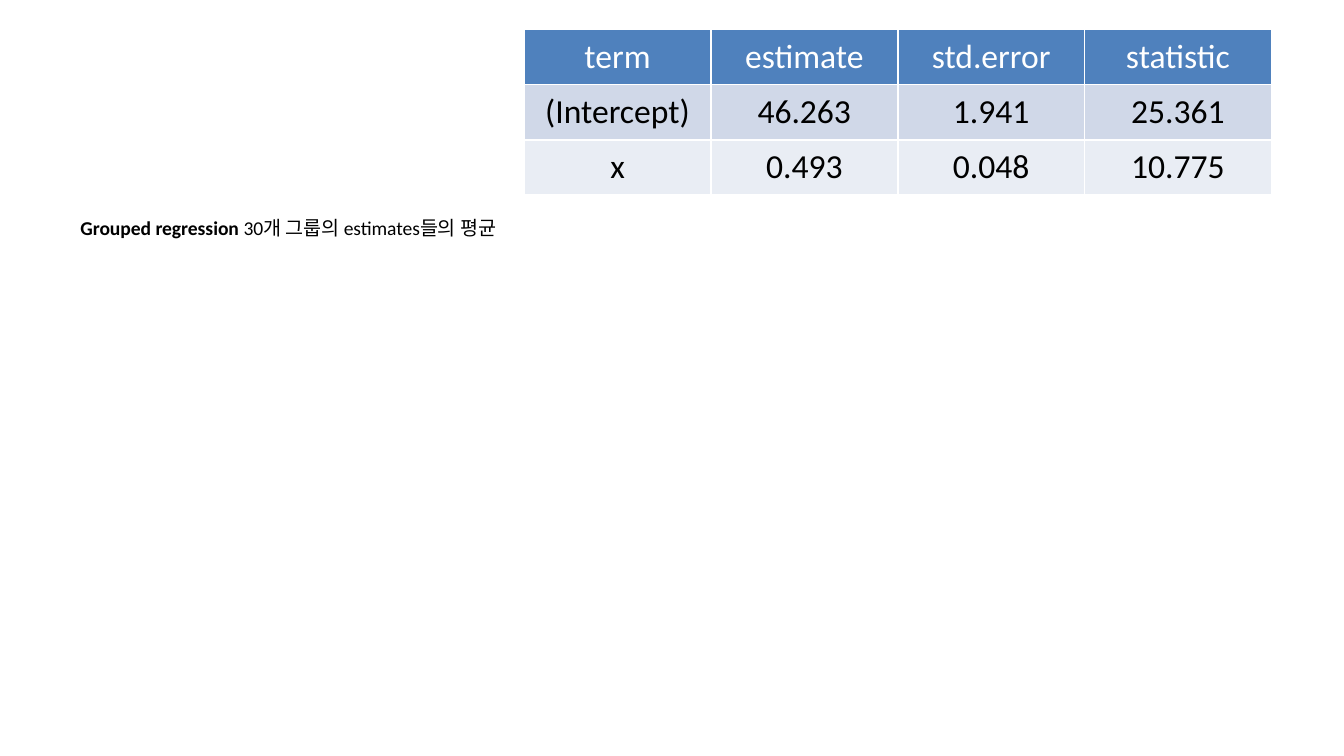
from dataclasses import dataclass

from lxml import etree
from pptx import Presentation
from pptx.dml.color import RGBColor
from pptx.enum.text import PP_ALIGN
from pptx.oxml.ns import qn
from pptx.util import Inches, Pt

CENTER = PP_ALIGN.CENTER


@dataclass(frozen=True)
class Theme:
    font: str = "Calibri"
    ink: str = "000000"
    paper: str = "FFFFFF"
    head: str = "4F81BD"
    bands: tuple = ("D0D8E8", "E9EDF4")
    note: float = 10.5
    cell: float = 18
    line: float = 1


class Deck:
    def __init__(self, theme, slide):
        self.theme = theme
        self.slide = slide

    def run(self, par, text, size, color, bold=False):
        run = par.add_run()
        run.text = text
        font = run.font
        font.name = self.theme.font
        font.size = Pt(size)
        font.bold = bold
        font.color.rgb = RGBColor.from_string(color)

    def note(self, left, top, width, height, parts):
        box = self.slide.shapes.add_textbox(
            Inches(left), Inches(top), Inches(width), Inches(height))
        box.text_frame.word_wrap = True
        par = box.text_frame.paragraphs[0]
        for text, bold in parts:
            self.run(par, text, self.theme.note, self.theme.ink, bold)

    def border(self, cell):
        props = cell._tc.get_or_add_tcPr()
        width = str(Pt(self.theme.line))
        for side in "LRTB":
            line = etree.SubElement(props, qn(f"a:ln{side}"), w=width)
            fill = etree.SubElement(line, qn("a:solidFill"))
            etree.SubElement(fill, qn("a:srgbClr"), val=self.theme.paper)

    def table(self, left, top, wide, high, rows):
        theme = self.theme
        count = len(rows[0])
        grid = self.slide.shapes.add_table(
            len(rows), count, Inches(left), Inches(top),
            Inches(wide * count), Inches(high * len(rows))).table
        for col in grid.columns:
            col.width = Inches(wide)
        for i, row in enumerate(rows):
            grid.rows[i].height = Inches(high)
            head = i == 0
            fill = theme.head if head else theme.bands[(i - 1) % 2]
            color = theme.paper if head else theme.ink
            for j, text in enumerate(row):
                cell = grid.cell(i, j)
                self.border(cell)
                cell.fill.solid()
                cell.fill.fore_color.rgb = RGBColor.from_string(fill)
                par = cell.text_frame.paragraphs[0]
                par.alignment = CENTER
                self.run(par, text, theme.cell, color)


def main():
    show = Presentation()
    show.slide_width = Inches(10)
    show.slide_height = Inches(10) * 9 // 16
    deck = Deck(Theme(), show.slides.add_slide(show.slide_layouts[6]))
    deck.note(0.5, 1.56, 3.29, 3.47, [
        ("Grouped regression", True),
        (" 30개 그룹의 estimates들의 평균", False),
    ])
    deck.table(3.9, 0.22, 1.39, 0.41, [
        ("term", "estimate", "std.error", "statistic"),
        ("(Intercept)", "46.263", "1.941", "25.361"),
        ("x", "0.493", "0.048", "10.775"),
    ])
    show.save("out.pptx")


if __name__ == "__main__":
    main()
